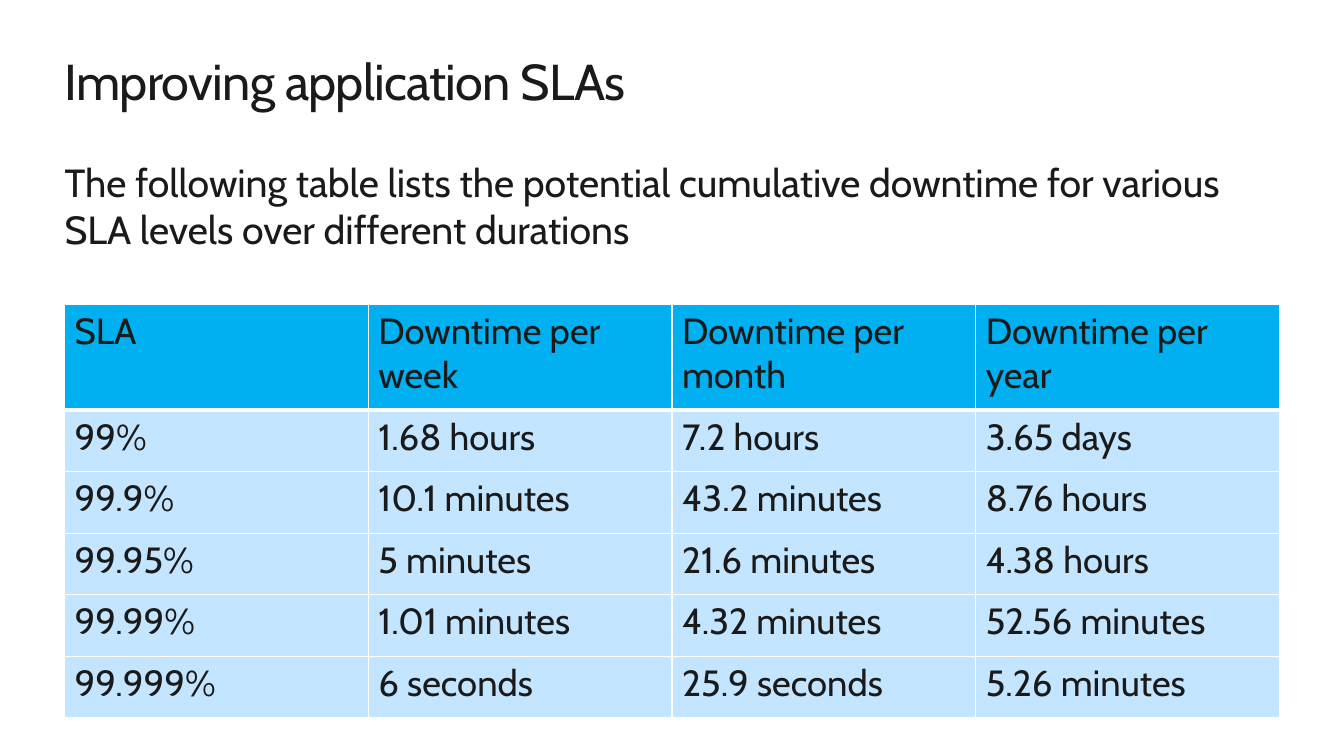
from dataclasses import dataclass

from lxml import etree
from pptx import Presentation
from pptx import util as u
from pptx.dml.color import RGBColor
from pptx.enum import text
from pptx.oxml import ns


@dataclass(frozen=True)
class Theme:
    font: str = "Cabin"
    ink: str = "1A1A1A"
    header_fill: str = "00B0F0"
    row_fill: str = "C3E5FF"
    rule: str = "FFFFFF"
    thin: float = 1
    thick: float = 3
    title_size: int = 36
    lead_size: int = 28
    cell_size: int = 26


THEME = Theme()
SLIDE_WIDTH, SLIDE_HEIGHT = 13.33, 7.5
MARGIN = 0.64
CONTENT_WIDTH = SLIDE_WIDTH - 2 * MARGIN
HEADER_HEIGHT, ROW_HEIGHT = 1.05, 0.61

DOWNTIME = [
    ("SLA", "Downtime per week", "Downtime per month", "Downtime per year"),
    ("99%", "1.68 hours", "7.2 hours", "3.65 days"),
    ("99.9%", "10.1 minutes", "43.2 minutes", "8.76 hours"),
    ("99.95%", "5 minutes", "21.6 minutes", "4.38 hours"),
    ("99.99%", "1.01 minutes", "4.32 minutes", "52.56 minutes"),
    ("99.999%", "6 seconds", "25.9 seconds", "5.26 minutes"),
]


def style_runs(paragraph, size):
    for run in paragraph.runs:
        run.font.name = THEME.font
        run.font.size = u.Pt(size)
        run.font.color.rgb = RGBColor.from_string(THEME.ink)


def fill_placeholder(holder, wording, box, size):
    """Move a placeholder to its box and set its one paragraph."""
    holder.left, holder.top, holder.width, holder.height = map(u.Inches, box)
    frame = holder.text_frame
    frame.margin_left = frame.margin_right = 0
    frame.margin_top = frame.margin_bottom = 0
    frame.word_wrap = True
    frame.auto_size = text.MSO_AUTO_SIZE.NONE
    frame.vertical_anchor = text.MSO_ANCHOR.TOP
    frame.text = wording
    paragraph = frame.paragraphs[0]
    paragraph.alignment = text.PP_ALIGN.LEFT
    paragraph.space_before = u.Pt(0)
    style_runs(paragraph, size)
    return paragraph


def add_title(slide, wording, box):
    paragraph = fill_placeholder(slide.shapes.title, wording, box, THEME.title_size)
    # Slightly tightened letters
    paragraph.runs[0].font._element.set("spc", "-50")


def add_lead(slide, wording, box):
    paragraph = fill_placeholder(slide.placeholders[1], wording, box, THEME.lead_size)
    # Plain paragraph without bullet or indent
    properties = paragraph._p.get_or_add_pPr()
    properties.set("marL", "0")
    properties.set("indent", "0")
    etree.SubElement(properties, ns.qn("a:buNone"))


def set_borders(cell, widths):
    """Draw the left, right, top and bottom rules of a cell, in that order."""
    properties = cell._tc.get_or_add_tcPr()
    for position, (side, width) in enumerate(zip("LRTB", widths)):
        line = etree.Element(ns.qn(f"a:ln{side}"), w=str(u.Pt(width)))
        fill = etree.SubElement(line, ns.qn("a:solidFill"))
        etree.SubElement(fill, ns.qn("a:srgbClr"), val=THEME.rule)
        properties.insert(position, line)


def add_downtime_table(slide, rows, box):
    table = slide.shapes.add_table(len(rows), len(rows[0]), *map(u.Inches, box)).table
    for column in table.columns:
        column.width = u.Inches(box[2] / len(rows[0]))

    for row_index, values in enumerate(rows):
        is_header = row_index == 0
        table.rows[row_index].height = u.Inches(HEADER_HEIGHT if is_header else ROW_HEIGHT)
        # The thick rule lies between the header and the first level
        top = THEME.thick if row_index == 1 else THEME.thin
        bottom = THEME.thick if is_header else THEME.thin
        for column_index, value in enumerate(values):
            cell = table.cell(row_index, column_index)
            cell.text = value
            style_runs(cell.text_frame.paragraphs[0], THEME.cell_size)
            for run in cell.text_frame.paragraphs[0].runs:
                run.font.bold = False
            cell.fill.solid()
            cell.fill.fore_color.rgb = RGBColor.from_string(
                THEME.header_fill if is_header else THEME.row_fill)
            set_borders(cell, (THEME.thin, THEME.thin, top, bottom))


def build_sla_slide(deck):
    slide = deck.slides.add_slide(deck.slide_layouts[1])
    add_title(slide, "Improving application SLAs", (MARGIN, 0.5, CONTENT_WIDTH, 0.61))
    add_lead(
        slide,
        "The following table lists the potential cumulative downtime for various "
        "SLA levels over different durations",
        (MARGIN, 1.57, CONTENT_WIDTH, 0.94))
    table_height = HEADER_HEIGHT + ROW_HEIGHT * (len(DOWNTIME) - 1)
    add_downtime_table(slide, DOWNTIME, (MARGIN, 3.02, CONTENT_WIDTH, table_height))


def main():
    deck = Presentation()
    deck.slide_width = u.Inches(SLIDE_WIDTH)
    deck.slide_height = u.Inches(SLIDE_HEIGHT)
    build_sla_slide(deck)
    deck.save("out.pptx")


if __name__ == "__main__":
    main()
